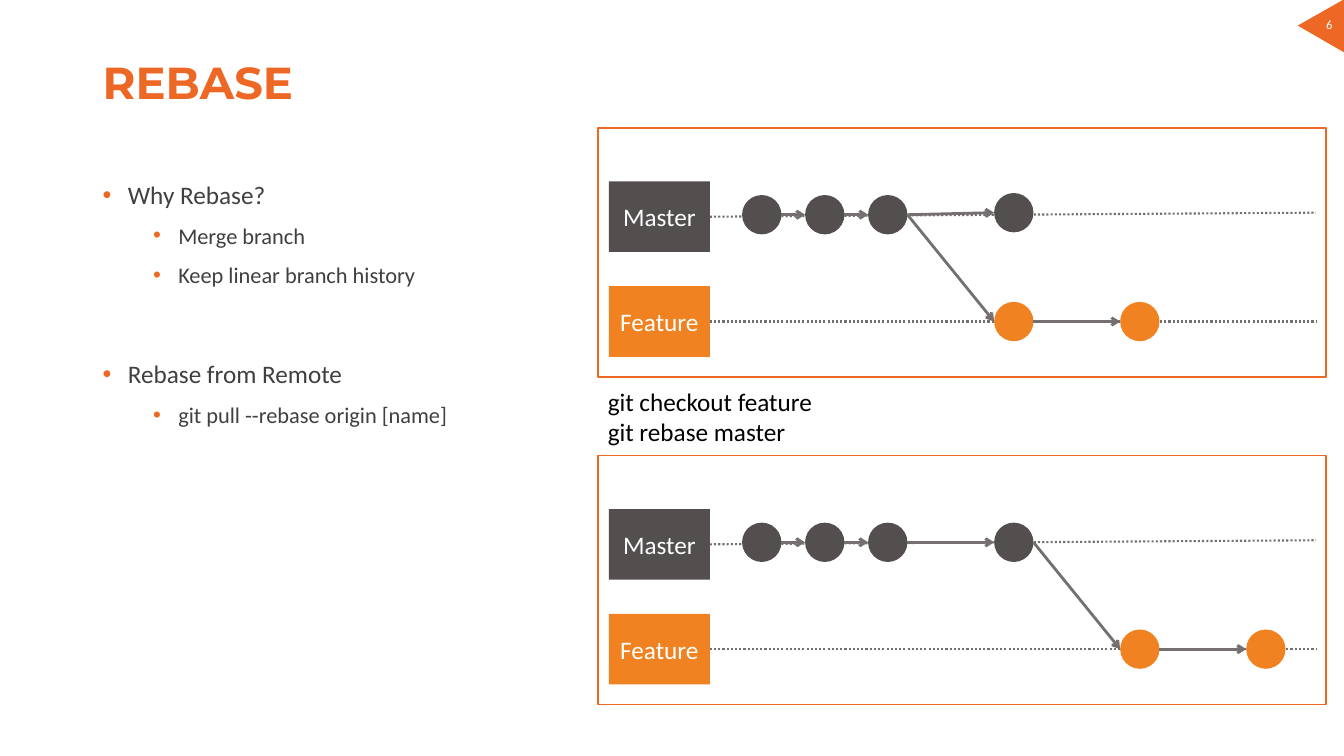
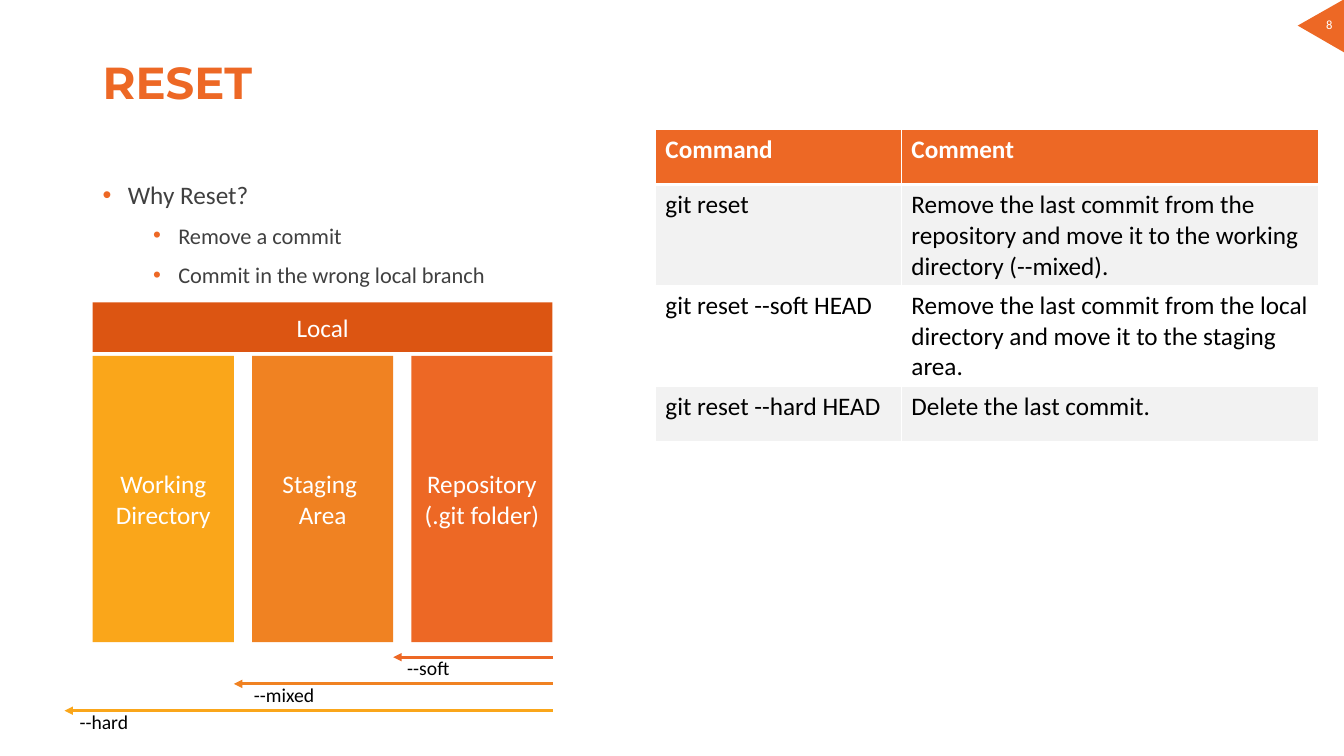
from dataclasses import dataclass

from pptx import Presentation
from pptx.dml.color import RGBColor
from pptx.enum.dml import MSO_LINE
from pptx.enum.shapes import MSO_CONNECTOR, MSO_SHAPE
from pptx.enum.text import MSO_ANCHOR, PP_ALIGN
from pptx.oxml.ns import qn
from pptx.util import Inches, Pt
from lxml import etree

RECTANGLE = MSO_SHAPE.RECTANGLE
CIRCLE = MSO_SHAPE.OVAL
TRIANGLE = MSO_SHAPE.ISOSCELES_TRIANGLE
STRAIGHT = MSO_CONNECTOR.STRAIGHT
DOTTED = MSO_LINE.ROUND_DOT
MIDDLE, TOP = MSO_ANCHOR.MIDDLE, MSO_ANCHOR.TOP
CENTER, LEFT = PP_ALIGN.CENTER, PP_ALIGN.LEFT
RIGHT_SIDE = 3


@dataclass(frozen=True)
class Theme:
    accent: str = "ED6825"
    deep: str = "DC5512"
    orange: str = "F08222"
    amber: str = "FAA61A"
    dark: str = "534F4F"
    line: str = "757070"
    body: str = "404040"
    black: str = "000000"
    white: str = "FFFFFF"
    stripe: str = "F2F2F2"
    heading_font: str = "Montserrat"
    body_font: str = "Calibri"
    title_size: int = 32
    text_size: int = 18
    sub_size: int = 16
    label_size: int = 14
    number_size: int = 9


theme = Theme()


def add_box(page, at, lines=(), kind=None, fill=None, outline=None, color=theme.white,
            size=theme.text_size, align=CENTER, anchor=MIDDLE):
    """Add a preset shape, or a text box when no kind is given."""
    place = [Inches(length) for length in at]
    if kind is None:
        box = page.shapes.add_textbox(*place)
    else:
        box = page.shapes.add_shape(kind, *place)
        box.shadow.inherit = False
        if fill:
            box.fill.solid()
            box.fill.fore_color.rgb = RGBColor.from_string(fill)
        else:
            box.fill.background()
        if outline:
            box.line.color.rgb = RGBColor.from_string(outline)
            box.line.width = Pt(1.25)
        else:
            box.line.fill.background()
    frame = box.text_frame
    frame.word_wrap = True
    frame.vertical_anchor = anchor
    for index, text in enumerate(lines):
        para = frame.add_paragraph() if index else frame.paragraphs[0]
        para.text = text
        para.alignment = align
        para.font.name = theme.body_font
        para.font.size = Pt(size)
        para.font.color.rgb = RGBColor.from_string(color)
    return box


def add_line(page, start, end, color, width=2, dash=None, head=None):
    line = page.shapes.add_connector(STRAIGHT, *[Inches(n) for n in (*start, *end)])
    line.line.color.rgb = RGBColor.from_string(color)
    line.line.width = Pt(width)
    if dash:
        line.line.dash_style = dash
    properties = line._element.spPr
    if head:
        etree.SubElement(properties.find(qn("a:ln")), qn("a:tailEnd"), type=head)
    etree.SubElement(properties, qn("a:effectLst"))
    return line


deck = Presentation()
deck.slide_width, deck.slide_height = Inches(13.33), Inches(7.5)

# Shared parts: page number, title, bullets (text, level, space before)
outlines = [
    ("6", "REBASE", 4.9, [
        ("Why Rebase?", 0, 10),
        ("Merge branch", 1, 5),
        ("Keep linear branch history", 1, 5),
        ("Rebase from Remote", 0, 46),
        ("git pull --rebase origin [name]", 1, 5),
    ]),
    ("8", "RESET", 5.43, [
        ("Why Reset?", 0, 10),
        ("Remove a commit", 1, 5),
        ("Commit in the wrong local branch", 1, 5),
    ]),
]
pages = []
for number, title, body_width, bullets in outlines:
    page = deck.slides.add_slide(deck.slide_layouts[6])
    pages.append(page)
    marker = add_box(page, (12.95, -0.04, 0.54, 0.46), kind=TRIANGLE, fill=theme.accent)
    marker.rotation = 30
    add_box(page, (12.85, 0.12, 0.67, 0.25), [number], size=theme.number_size, anchor=TOP)

    heading = add_box(page, (0.92, 0.4, 11.58, 0.88), [title], color=theme.accent,
                      size=theme.title_size, align=LEFT).text_frame.paragraphs[0]
    heading.font.name = theme.heading_font
    heading.font.bold = True
    heading.line_spacing = 0.9

    frame = add_box(page, (0.92, 1.67, body_width, 5.07), anchor=TOP).text_frame
    for index, (text, level, before) in enumerate(bullets):
        para = frame.add_paragraph() if index else frame.paragraphs[0]
        para.text = text
        para.level = level
        para.line_spacing = 1.2
        para.space_before = Pt(before)
        settings = para._p.get_or_add_pPr()
        settings.set("marL", str(Inches(0.25 + 0.5 * level)))
        settings.set("indent", str(Inches(-0.25)))
        bullet_color = etree.SubElement(settings, qn("a:buClr"))
        etree.SubElement(bullet_color, qn("a:srgbClr"), val=theme.accent)
        etree.SubElement(settings, qn("a:buFont"), typeface="Arial")
        etree.SubElement(settings, qn("a:buChar"), char="•")
        para.font.name = theme.body_font
        para.font.size = Pt(theme.sub_size if level else theme.text_size)
        para.font.color.rgb = RGBColor.from_string(theme.body)

rebase, reset = pages

# Rebase: branch diagrams before and after
# Panel top, feature columns, commit it branches from, lift of the last master commit
diagrams = [(1.27, (4, 6), 2, 0.02), (4.52, (6, 8), 3, 0)]
diameter = 0.39
column_step = 1.25 / 2
for top, feature_columns, base, lift in diagrams:
    add_box(rebase, (5.93, top, 7.22, 2.47), kind=RECTANGLE, outline=theme.accent)
    master_y, feature_y = top + 0.86, top + 1.92
    branches = [
        ("Master", theme.dark, top + 0.53, master_y - 0.02),
        ("Feature", theme.orange, top + 1.57, feature_y),
    ]
    for name, fill, label_top, end_y in branches:
        label = add_box(rebase, (6.04, label_top, 1, 0.7), [name], RECTANGLE, fill)
        track = add_line(rebase, (7.04, end_y), (13.05, end_y), theme.line, 1.5, DOTTED)
        track.begin_connect(label, RIGHT_SIDE)

    master = [(7.36 + column_step * column, master_y) for column in (0, 1, 2, 4)]
    master[-1] = (master[-1][0], master_y - lift)
    feature = [(7.36 + column_step * column, feature_y) for column in feature_columns]
    for commits, fill in ((master, theme.dark), (feature, theme.orange)):
        for left, middle in commits:
            add_box(rebase, (left, middle - diameter / 2, diameter, diameter),
                    kind=CIRCLE, fill=fill)
    links = [*zip(master, master[1:]), *zip(feature, feature[1:]), (master[base], feature[0])]
    for (left, middle), target in links:
        add_line(rebase, (left + diameter, middle), target, theme.line, head="arrow")

add_box(rebase, (5.93, 3.78, 5.75, 0.71), ["git checkout feature", "git rebase master"],
        color=theme.black, align=LEFT, anchor=TOP)

# Reset: command table
rows = [
    ("Command", "Comment"),
    ("git reset", "Remove the last commit from the repository and move it to the "
                  "working directory (--mixed)."),
    ("git reset --soft HEAD", "Remove the last commit from the local directory and move it "
                              "to the staging area."),
    ("git reset --hard HEAD", "Delete the last commit."),
    ("", ""),
]
table = reset.shapes.add_table(len(rows), 2, Inches(6.5), Inches(1.28),
                               Inches(6.58), Inches(0.55 * len(rows))).table
for column, width in zip(table.columns, (2.44, 4.14)):
    column.width = Inches(width)
for row_index, row in enumerate(rows):
    header = row_index == 0
    fill = theme.accent if header else theme.stripe if row_index % 2 else theme.white
    for column_index, text in enumerate(row):
        cell = table.cell(row_index, column_index)
        settings = cell._tc.get_or_add_tcPr()
        for side in ("lnL", "lnR", "lnT", "lnB"):
            thick = (side, row_index) in (("lnB", 0), ("lnT", 1))
            border = etree.SubElement(settings, qn("a:" + side), w=str(Pt(3 if thick else 1)))
            paint = etree.SubElement(border, qn("a:solidFill"))
            etree.SubElement(paint, qn("a:srgbClr"), val=theme.white)
        cell.fill.solid()
        cell.fill.fore_color.rgb = RGBColor.from_string(fill)
        cell.text = text
        font = cell.text_frame.paragraphs[0].font
        font.name = theme.body_font
        font.size = Pt(theme.text_size)
        font.bold = header
        font.color.rgb = RGBColor.from_string(theme.white if header else theme.black)

# Reset: local areas
areas = [
    (["Working Directory"], theme.amber),
    (["Staging ", "Area"], theme.orange),
    (["Repository", "(.git folder)"], theme.accent),
]
for index, (lines, fill) in enumerate(areas):
    add_box(reset, (0.92 + 1.58 * index, 3.53, 1.4, 2.84), lines, RECTANGLE, fill)
add_box(reset, (0.92, 3, 4.56, 0.49), ["Local"], RECTANGLE, theme.deep)

# Reset: reach of each option (name, arrow tip, label left)
reaches = [
    ("--soft", 3.9, 3.94, theme.accent),
    ("--mixed", 2.32, 2.42, theme.orange),
    ("--hard", 0.64, 0.69, theme.amber),
]
for index, (name, tip, label_left, color) in enumerate(reaches):
    y = 6.52 + 0.53 / 2 * index
    add_line(reset, (5.48, y), (tip, y), color, head="triangle")
    add_box(reset, (label_left, y - 0.06, 1.19, 0.34), [name], color=theme.black,
            size=theme.label_size, align=LEFT, anchor=TOP)

deck.save("out.pptx")
